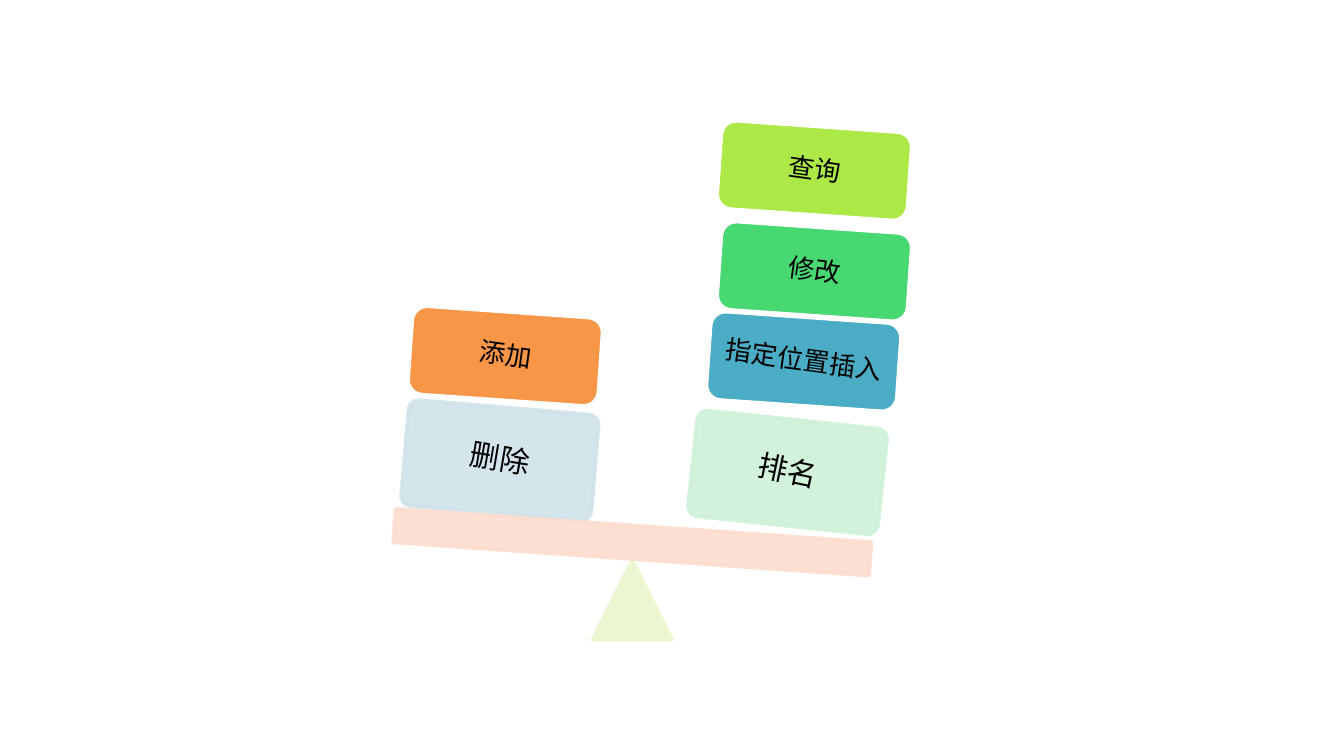
from pptx import Presentation
from pptx.dml.color import RGBColor
from pptx.enum.shapes import MSO_SHAPE as SHAPE
from pptx.enum.text import MSO_ANCHOR, PP_ALIGN
from pptx.oxml.ns import qn
from pptx.util import Inches, Pt
from lxml import etree

BLACK = RGBColor(0x00, 0x00, 0x00)
WHITE = RGBColor(0xFF, 0xFF, 0xFF)
PALE_BLUE = RGBColor(0xD0, 0xE3, 0xEA)
PALE_GREEN = RGBColor(0xCF, 0xF1, 0xD9)
PALE_LIME = RGBColor(0xEB, 0xF7, 0xCE)
PALE_ORANGE = RGBColor(0xFC, 0xDD, 0xCF)
TEAL = RGBColor(0x4B, 0xAC, 0xC6)
GREEN = RGBColor(0x47, 0xD8, 0x72)
LIME = RGBColor(0xAC, 0xE9, 0x46)
ORANGE = RGBColor(0xF7, 0x96, 0x46)

FONT = "Calibri"
BLOCK_W = 1.42
PAN_H = 0.79
WEIGHT_H = 0.66
TILT = 4


def set_alpha(sp, percent):
    for color in sp.element.spPr.iter(qn("a:srgbClr")):
        etree.SubElement(color, qn("a:alpha")).set("val", str(percent * 1000))


def add_shape(slide, kind, box, fill, line, tilt=0):
    sp = slide.shapes.add_shape(kind, *map(Inches, box))
    sp.shadow.inherit = False
    sp.rotation = tilt
    sp.fill.solid()
    sp.fill.fore_color.rgb = fill
    sp.line.color.rgb = line
    sp.line.width = Pt(2)
    return sp


def add_pale_shape(slide, kind, box, color, tilt=0):
    sp = add_shape(slide, kind, box, color, color, tilt)
    set_alpha(sp, 90)
    return sp


def add_label(slide, box, text, size, inset, tilt):
    sp = slide.shapes.add_textbox(*map(Inches, box))
    sp.rotation = tilt
    tf = sp.text_frame
    tf.word_wrap = True
    tf.vertical_anchor = MSO_ANCHOR.MIDDLE
    tf.margin_left = tf.margin_right = Inches(inset)
    tf.margin_top = tf.margin_bottom = Inches(inset)
    p = tf.paragraphs[0]
    p.alignment = PP_ALIGN.CENTER
    p.line_spacing = 0.9
    p.space_after = Pt(0.35 * size)
    r = p.add_run()
    r.text = text
    r.font.name = FONT
    r.font.size = Pt(size)
    r.font.color.rgb = BLACK


def add_pan(slide, x, y, text, color, tilt):
    box = (x, y, BLOCK_W, PAN_H)
    sp = add_pale_shape(slide, SHAPE.ROUNDED_RECTANGLE, box, color, tilt)
    sp.adjustments[0] = 0.1
    add_label(slide, box, text, 16, 0.07, 2 * tilt)


def add_weight(slide, x, y, text, color):
    box = (x, y, BLOCK_W, WEIGHT_H)
    add_shape(slide, SHAPE.ROUNDED_RECTANGLE, box, color, WHITE, TILT)
    add_label(slide, box, text, 14, 0.06, 2 * TILT)


def add_balance(slide, x, y, w, h):
    base = 0.59
    beam_h = 0.25
    base_y = y + h - base
    add_pan(slide, x + 0.08, y + 2.09, "删除", PALE_BLUE, 4.8)
    add_pan(slide, x + 2.22, y + 2.18, "排名", PALE_GREEN, 6)
    add_pale_shape(slide, SHAPE.ISOSCELES_TRIANGLE,
                   (x + (w - base) / 2, base_y, base, base), PALE_LIME)
    add_pale_shape(slide, SHAPE.RECTANGLE,
                   (x, base_y - beam_h - 0.01, w, beam_h), PALE_ORANGE, TILT)
    weights = [
        (2.34, 1.42, "指定位置插入", TEAL),
        (2.42, 0.75, "修改", GREEN),
        (2.42, 0, "查询", LIME),
        (0.12, 1.38, "添加", ORANGE),
    ]
    for dx, dy, text, color in weights:
        add_weight(slide, x + dx, y + dy, text, color)


def main():
    prs = Presentation()
    prs.slide_width = Inches(10)
    prs.slide_height = prs.slide_width * 9 // 16
    slide = prs.slides.add_slide(prs.slide_layouts[6])
    add_balance(slide, 2.93, 0.94, 3.55, 3.82)
    prs.save("out.pptx")


if __name__ == "__main__":
    main()
